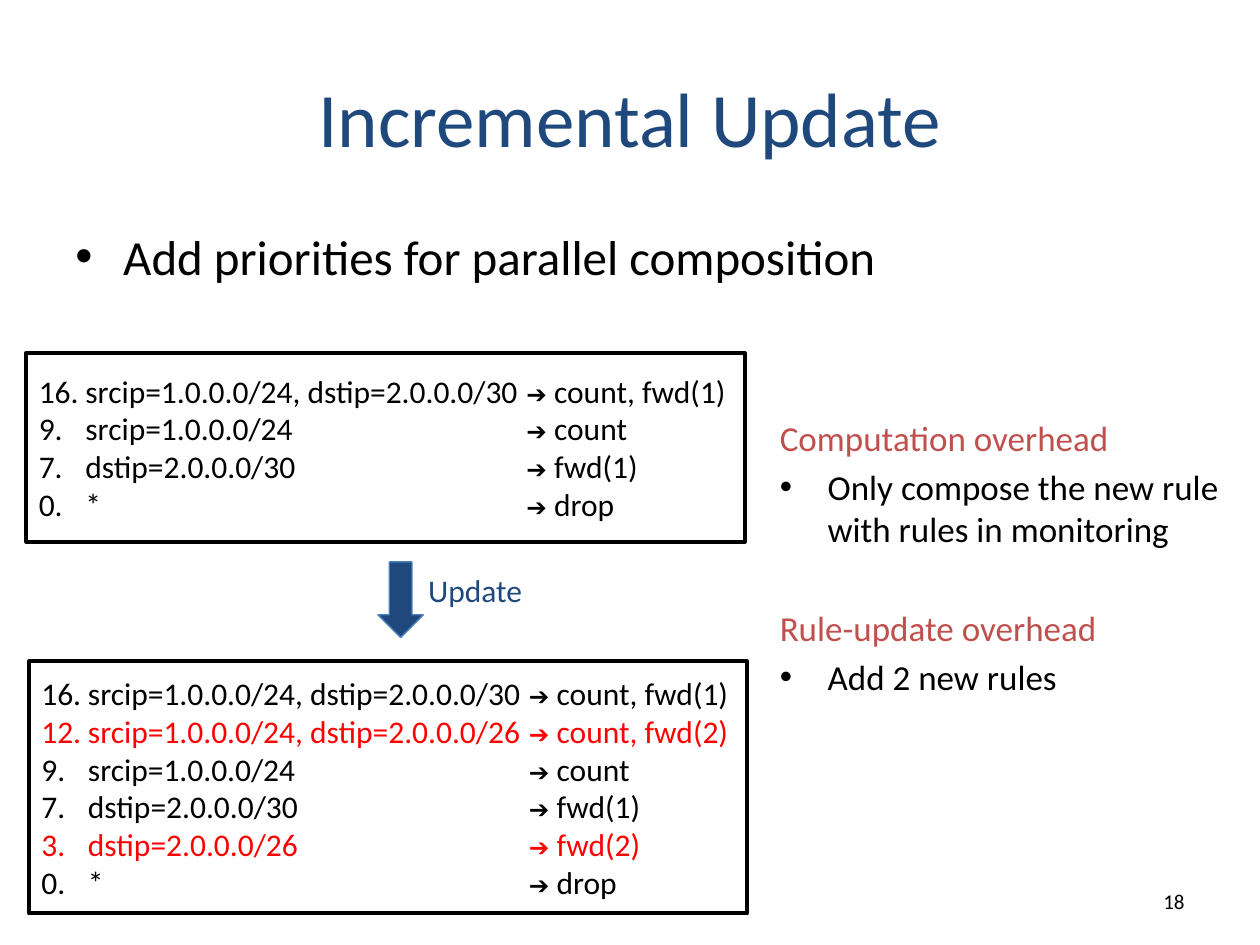
from pptx import Presentation
from pptx.dml.color import RGBColor
from pptx.enum.shapes import MSO_SHAPE as SHAPE
from pptx.enum.text import MSO_ANCHOR as ANCHOR, PP_ALIGN as ALIGN
from pptx.oxml.ns import qn
from pptx.util import Inches, Pt
from lxml.etree import SubElement

NAVY, BLACK, RED, BRICK = "1F497D", "000000", "FF0000", "C0504D"

# Rules: priority, match, action
OLD_RULES = [
    ("16.", "srcip=1.0.0.0/24, dstip=2.0.0.0/30", "count, fwd(1)"),
    ("9.", "srcip=1.0.0.0/24", "count"),
    ("7.", "dstip=2.0.0.0/30", "fwd(1)"),
    ("0.", "*", "drop"),
]
NEW_RULES = [
    ("12.", "srcip=1.0.0.0/24, dstip=2.0.0.0/26", "count, fwd(2)"),
    ("3.", "dstip=2.0.0.0/26", "fwd(2)"),
]


def rgb(color):
    return RGBColor.from_string(color)


def style(r, size, color=BLACK, font="Calibri"):
    r.font.size, r.font.name = Pt(size), font
    r.font.color.rgb = rgb(color)


def add_run(p, text, size, color=BLACK, font="Calibri"):
    r = p.add_run()
    r.text = text
    style(r, size, color, font)


def add_bullet(p):
    pPr = p._p.get_or_add_pPr()
    pPr.set("marL", str(Inches(0.38)))
    pPr.set("indent", str(-Inches(0.38)))
    SubElement(pPr, qn("a:buFont")).set("typeface", "Arial")
    SubElement(pPr, qn("a:buChar")).set("char", "•")


def add_tabs(p, *stops):
    tabs = SubElement(p._p.get_or_add_pPr(), qn("a:tabLst"))
    for stop in stops:
        tab = SubElement(tabs, qn("a:tab"))
        tab.set("pos", str(Inches(stop)))
        tab.set("algn", "l")


def add_text(slide, left, top, width, height, lines, size, align=ALIGN.LEFT,
             anchor=ANCHOR.TOP):
    """Each line is (text, color, bulleted, space before in points)."""
    sp = slide.shapes.add_textbox(Inches(left), Inches(top), Inches(width), Inches(height))
    tf = sp.text_frame
    tf.word_wrap = True
    tf.vertical_anchor = anchor
    for i, (text, color, bulleted, before) in enumerate(lines):
        p = tf.add_paragraph() if i else tf.paragraphs[0]
        p.alignment = align
        p.space_before = Pt(before)
        if bulleted:
            add_bullet(p)
        add_run(p, text, size, color)


def add_block(slide, kind, left, top, width, height, fill, line, weight):
    sp = slide.shapes.add_shape(kind, Inches(left), Inches(top), Inches(width), Inches(height))
    sp.shadow.inherit = False
    sp.fill.solid()
    sp.fill.fore_color.rgb = rgb(fill)
    sp.line.color.rgb = rgb(line)
    sp.line.width = Pt(weight)
    return sp


def add_rules(slide, left, top, height, rules):
    sp = add_block(slide, SHAPE.RECTANGLE, left, top, 5.7, height, "FFFFFF", BLACK, 2.25)
    tf = sp.text_frame
    tf.word_wrap = True
    tf.vertical_anchor = ANCHOR.MIDDLE
    for i, rule in enumerate(rules):
        priority, match, action = rule
        color = RED if rule in NEW_RULES else BLACK
        p = tf.add_paragraph() if i else tf.paragraphs[0]
        p.alignment = ALIGN.LEFT
        add_tabs(p, 0.37, 3.87)
        add_run(p, f"{priority}\t{match}\t", 18, color)
        add_run(p, "➔", 14, color, "Arial")
        add_run(p, f" {action}", 18, color)


def set_title(slide, text):
    sp = slide.shapes.title
    sp.left, sp.top, sp.width, sp.height = map(Inches, (0.5, 0.3, 9, 1.25))
    tf = sp.text_frame
    tf.text = text
    tf.vertical_anchor = ANCHOR.MIDDLE
    p = tf.paragraphs[0]
    p.alignment = ALIGN.CENTER
    style(p.runs[0], 44, NAVY)


def main():
    prs = Presentation()
    prs.slide_width, prs.slide_height = Inches(10), Inches(7.5)
    slide = prs.slides.add_slide(prs.slide_layouts[5])

    # Heading and main point
    set_title(slide, "Incremental Update")
    add_text(slide, 0.5, 1.75, 9, 0.7,
             [("Add priorities for parallel composition", BLACK, True, 5.6)], 28)

    # Rule tables before and after the update
    updated = sorted(OLD_RULES + NEW_RULES, key=lambda rule: -float(rule[0]))
    add_rules(slide, 0.21, 2.8, 1.5, OLD_RULES)
    add_rules(slide, 0.23, 5.25, 2, updated)
    add_block(slide, SHAPE.DOWN_ARROW, 3, 4.46, 0.36, 0.6, NAVY, "4B7EBC", 0.75)
    add_text(slide, 3.3, 4.48, 0.98, 0.4, [("Update", NAVY, False, 0)], 18)

    # Overhead notes
    add_text(slide, 6.09, 3.26, 3.98, 3.15, [
        ("Computation overhead", BRICK, False, 4),
        ("Only compose the new rule with rules in monitoring", BLACK, True, 4),
        ("Rule-update overhead", BRICK, False, 32),
        ("Add 2 new rules", BLACK, True, 4),
    ], 20)

    # Slide number
    add_text(slide, 7.17, 6.95, 2.33, 0.4, [("18", BLACK, False, 0)], 12,
             ALIGN.RIGHT, ANCHOR.MIDDLE)

    prs.save("out.pptx")


if __name__ == "__main__":
    main()
